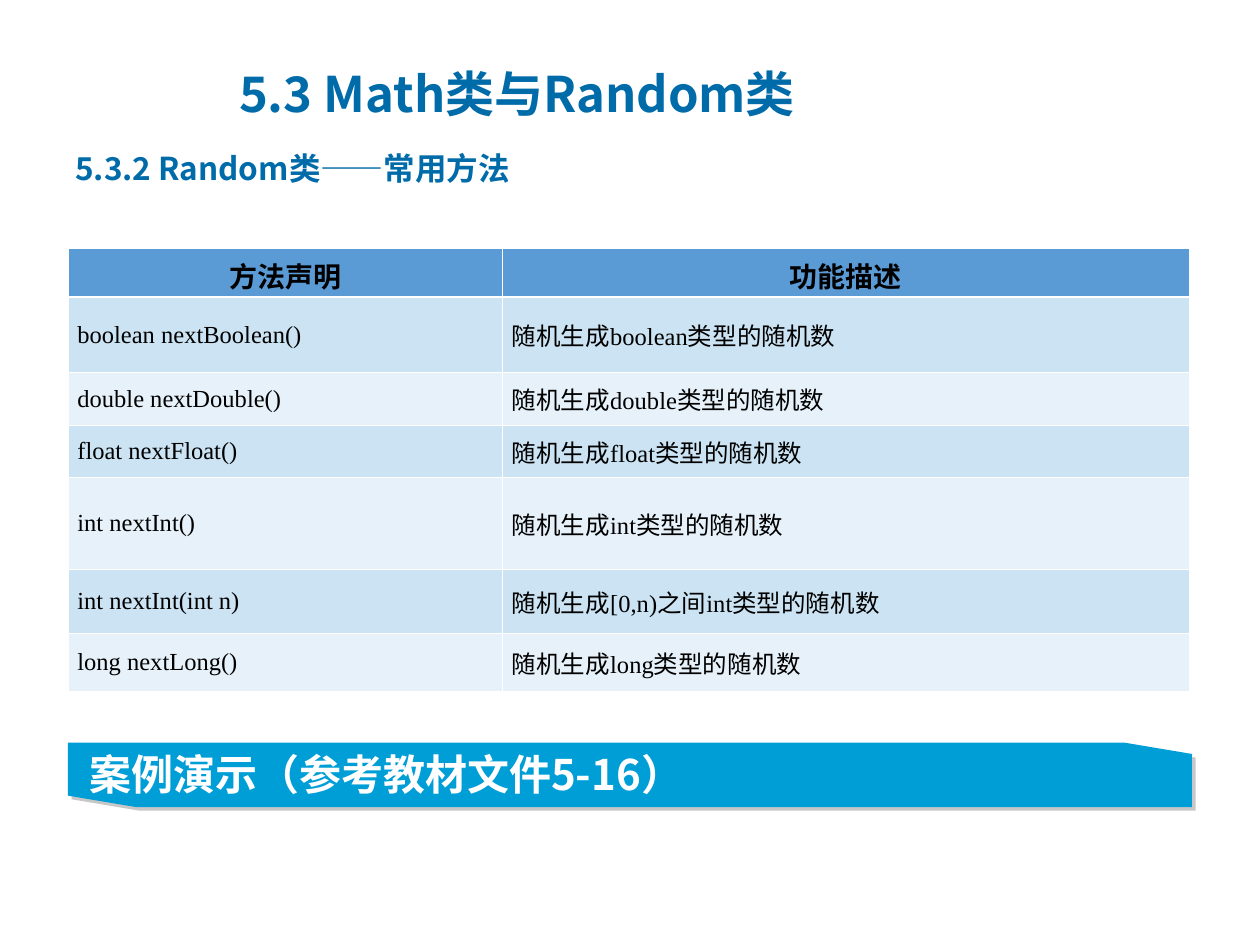
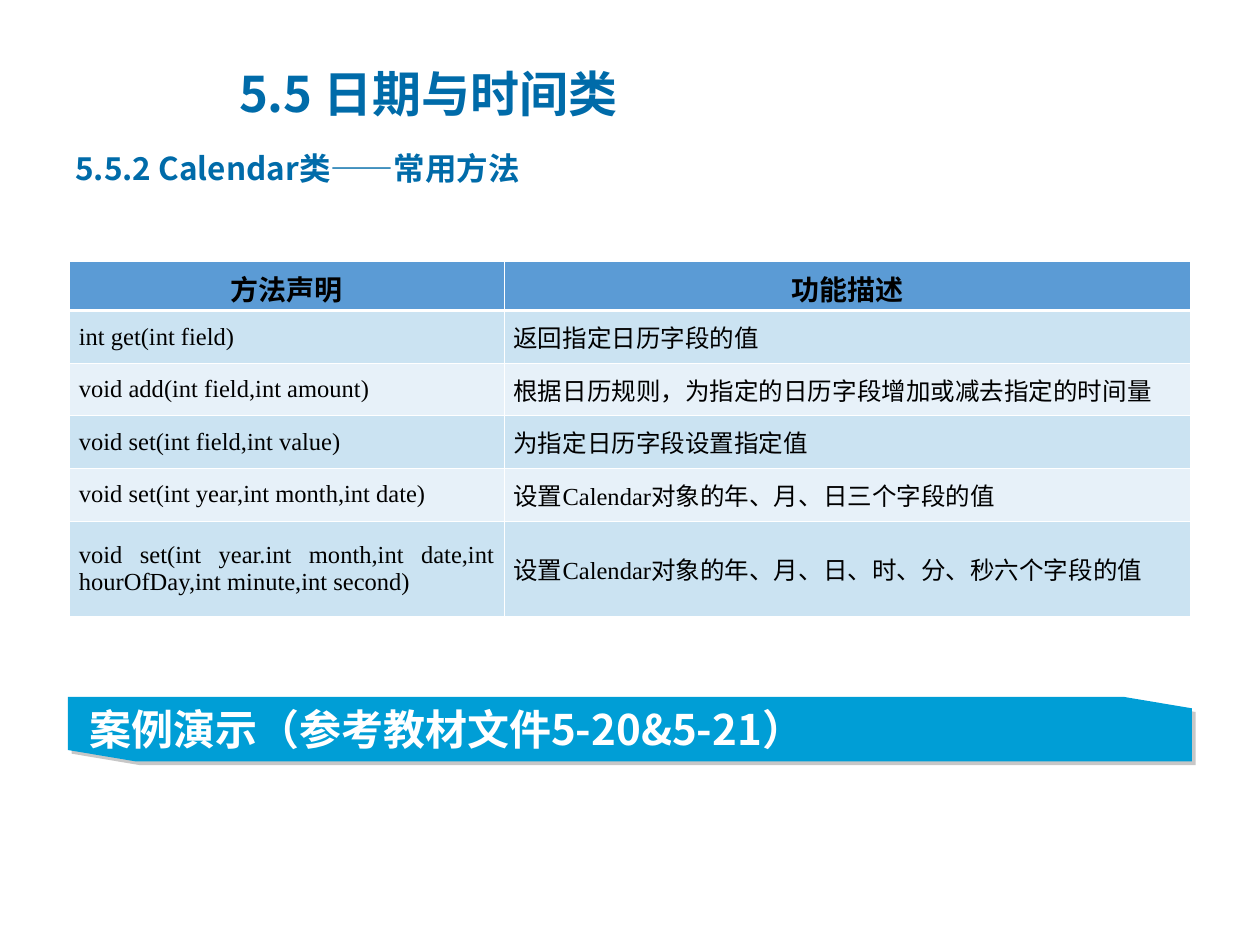
from dataclasses import dataclass

from lxml import etree
from pptx import Presentation
from pptx.dml.color import RGBColor
from pptx.enum.text import MSO_ANCHOR, PP_ALIGN
from pptx.oxml.ns import qn
from pptx.util import Cm, Length, Pt

LEFT, CENTER, JUSTIFY = PP_ALIGN.LEFT, PP_ALIGN.CENTER, PP_ALIGN.JUSTIFY
TOP, MIDDLE = MSO_ANCHOR.TOP, MSO_ANCHOR.MIDDLE


@dataclass(frozen=True)
class Theme:
    """Colours, fonts and type sizes of all slides."""
    heading: str = "006BA9"
    banner: str = "009ED6"
    shadow: str = "808080"
    header_fill: str = "5B9BD5"
    bands: tuple[str, str] = ("CBE3F2", "E7F1F9")
    white: str = "FFFFFF"
    black: str = "000000"
    sans: str = "Noto Sans CJK SC"
    serif: str = "Times New Roman"
    title_size: int = 28
    subtitle_size: int = 18
    banner_size: int = 24
    header_size: int = 16
    body_size: int = 14
    thin_border: float = 0.45
    thick_border: float = 1.47


THEME = Theme()
HEADER = ("方法声明", "功能描述")
COLUMN_WIDTHS = (Cm(8.76), Cm(13.84))


@dataclass(frozen=True)
class TextStyle:
    size: int
    color: str
    font: str = THEME.sans
    bold: bool = True
    align: PP_ALIGN = LEFT


@dataclass(frozen=True)
class MethodRow:
    height: float  # centimetres
    method: str
    description: str


@dataclass(frozen=True)
class MethodSlide:
    title: str
    subtitle: str
    table_left: Length
    table_top: Length
    header_font: str
    method_align: PP_ALIGN
    rows: tuple[MethodRow, ...]
    banner_top: Length
    banner_text: str


SLIDES = (
    MethodSlide(
        "5.3 Math类与Random类", "5.3.2 Random类——常用方法",
        Cm(1.37), Cm(5), "Calibri", LEFT,
        (
            MethodRow(1.52, "boolean nextBoolean()", "随机生成boolean类型的随机数"),
            MethodRow(1.06, "double nextDouble()", "随机生成double类型的随机数"),
            MethodRow(1.06, "float nextFloat()", "随机生成float类型的随机数"),
            MethodRow(1.85, "int nextInt()", "随机生成int类型的随机数"),
            MethodRow(1.29, "int nextInt(int n)", "随机生成[0,n)之间int类型的随机数"),
            MethodRow(1.17, "long nextLong()", "随机生成long类型的随机数"),
        ),
        Cm(14.97), "案例演示（参考教材文件5-16）",
    ),
    MethodSlide(
        "5.5 日期与时间类", "5.5.2 Calendar类——常用方法",
        Cm(1.4), Cm(5.27), THEME.serif, JUSTIFY,
        (
            MethodRow(1.06, "int get(int field)", "返回指定日历字段的值"),
            MethodRow(1.06, "void add(int field,int amount)",
                      "根据日历规则，为指定的日历字段增加或减去指定的时间量"),
            MethodRow(1.06, "void set(int field,int value)", "为指定日历字段设置指定值"),
            MethodRow(1.06, "void set(int year,int month,int date)",
                      "设置Calendar对象的年、月、日三个字段的值"),
            MethodRow(1.93, "void set(int year.int month,int date,int "
                      "hourOfDay,int minute,int second)",
                      "设置Calendar对象的年、月、日、时、分、秒六个字段的值"),
        ),
        Cm(14.05), "案例演示（参考教材文件5-20&5-21）",
    ),
)


def write_text(text_frame, text: str, style: TextStyle):
    """Fill the first paragraph and set its Latin and East Asian fonts."""
    paragraph = text_frame.paragraphs[0]
    paragraph.text = text
    paragraph.alignment = style.align
    font = paragraph.font
    font.size, font.bold, font.name = Pt(style.size), style.bold, style.font
    font.color.rgb = RGBColor.from_string(style.color)
    defaults = paragraph._p.get_or_add_pPr().find(qn("a:defRPr"))
    etree.SubElement(defaults, qn("a:ea"), typeface=THEME.sans)
    return paragraph


def add_heading(slide, text: str, box: tuple[Length, ...], size: int, anchor: MSO_ANCHOR):
    text_frame = slide.shapes.add_textbox(*box).text_frame
    text_frame.word_wrap = True
    text_frame.vertical_anchor = anchor
    return write_text(text_frame, text, TextStyle(size, THEME.heading))


def add_color(parent, color: str):
    fill = etree.SubElement(parent, qn("a:solidFill"))
    return etree.SubElement(fill, qn("a:srgbClr"), val=color)


def set_borders(cell, row_index: int) -> None:
    """White grid lines, with a thicker one under the header row."""
    properties = cell._tc.get_or_add_tcPr()
    thick_side = {0: "B", 1: "T"}.get(row_index)
    for position, side in enumerate("LRTB"):
        width = THEME.thick_border if side == thick_side else THEME.thin_border
        line = etree.Element(qn(f"a:ln{side}"), w=str(int(Pt(width))))
        add_color(line, THEME.white)
        properties.insert(position, line)


def add_method_table(slide, content: MethodSlide) -> None:
    heights = [Cm(0.99)] + [Cm(row.height) for row in content.rows]
    texts = [HEADER] + [(row.method, row.description) for row in content.rows]
    table = slide.shapes.add_table(
        len(texts), len(HEADER), content.table_left, content.table_top,
        sum(COLUMN_WIDTHS), sum(heights)).table
    for column, width in zip(table.columns, COLUMN_WIDTHS):
        column.width = width

    header = TextStyle(THEME.header_size, THEME.black, content.header_font, align=CENTER)
    body = [TextStyle(THEME.body_size, THEME.black, THEME.serif, False, align)
            for align in (content.method_align, JUSTIFY)]
    for row_index, row_texts in enumerate(texts):
        is_header = row_index == 0
        table.rows[row_index].height = heights[row_index]
        fill = THEME.header_fill if is_header else THEME.bands[(row_index - 1) % 2]
        for column_index, text in enumerate(row_texts):
            cell = table.cell(row_index, column_index)
            cell.fill.solid()
            cell.fill.fore_color.rgb = RGBColor.from_string(fill)
            cell.vertical_anchor = MIDDLE
            cell.margin_left = cell.margin_right = Cm(0.19)
            cell.margin_top = Cm(0.13)
            cell.margin_bottom = Cm(0.03 if is_header else 0.13)
            set_borders(cell, row_index)
            write_text(cell.text_frame, text, header if is_header else body[column_index])


def add_banner(slide, top: Length, text: str) -> None:
    """Band with its top right and bottom left corners cut."""
    left, width, height = Cm(1.37), Cm(22.66), Cm(1.3)
    cut_x, cut_y = Cm(1.37), Cm(0.23)
    right, bottom = left + width, top + height
    builder = slide.shapes.build_freeform(left, top)
    builder.add_line_segments([
        (right - cut_x, top), (right, top + cut_y), (right, bottom),
        (left + cut_x, bottom), (left, bottom - cut_y)])
    banner = builder.convert_to_shape()
    banner.fill.solid()
    banner.fill.fore_color.rgb = RGBColor.from_string(THEME.banner)
    banner.line.fill.background()

    # Hard shadow, down and to the right
    banner.shadow.inherit = False
    effects = banner._element.spPr.find(qn("a:effectLst"))
    shadow = etree.SubElement(effects, qn("a:outerShdw"), blurRad="0",
                              dist=str(int(Pt(3))), dir="2700000", algn="ctr")
    etree.SubElement(add_shadow_color(shadow), qn("a:alpha"), val="43000")

    text_frame = banner.text_frame
    text_frame.word_wrap = True
    text_frame.vertical_anchor = TOP
    text_frame.margin_left = Cm(0.43)
    write_text(text_frame, text, TextStyle(THEME.banner_size, THEME.white))


def add_shadow_color(shadow):
    return etree.SubElement(shadow, qn("a:srgbClr"), val=THEME.shadow)


def add_method_slide(presentation, content: MethodSlide) -> None:
    slide = presentation.slides.add_slide(presentation.slide_layouts[6])
    add_heading(slide, content.title, (Cm(4.57), Cm(1.09), Cm(14.81), Cm(1.55)),
                THEME.title_size, MIDDLE)
    subtitle = add_heading(slide, content.subtitle,
                           (Cm(1.27), Cm(2.97), Cm(22.86), Cm(1.8)),
                           THEME.subtitle_size, TOP)
    subtitle.line_spacing = 0.9
    add_method_table(slide, content)
    add_banner(slide, content.banner_top, content.banner_text)


def main() -> None:
    presentation = Presentation()
    presentation.slide_width, presentation.slide_height = Cm(25.4), Cm(19.05)
    for content in SLIDES:
        add_method_slide(presentation, content)
    presentation.save("out.pptx")


if __name__ == "__main__":
    main()
